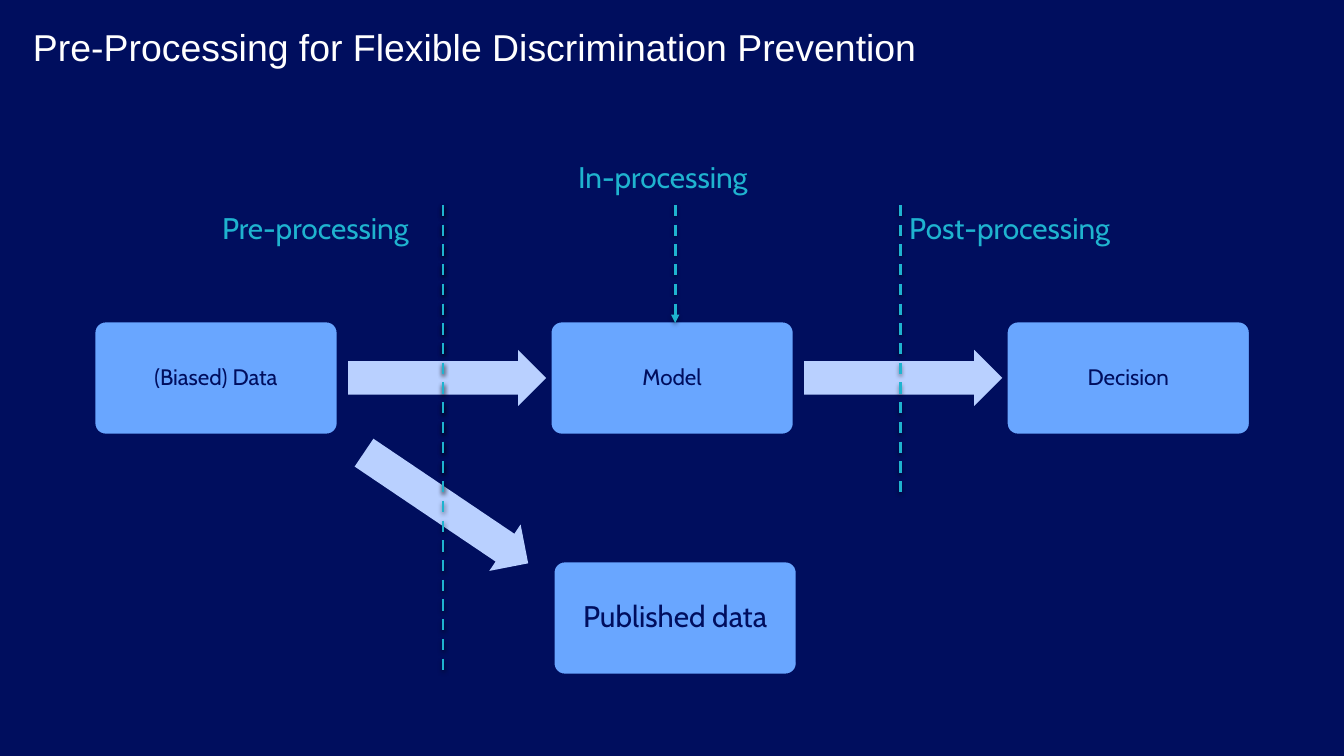
"""Build a slide on where fairness processing fits in a decision pipeline."""
from lxml import etree
from pptx import Presentation, util as u
from pptx.dml.color import RGBColor
from pptx.enum import dml, shapes, text
from pptx.oxml import ns

COLOURS = {"navy": "000E5E", "card": "69A6FF", "arrow": "B9D0FF",
           "teal": "1FB3CF", "white": "FFFFFF", "shadow": "000000"}


def colour(name):
    return RGBColor.from_string(COLOURS[name])


def px(length):
    return u.Emu(round(length * 914400 / 100.8))


def assign(target, values):
    for name, value in values.items():
        setattr(target, name, value)


class Deck:
    """Holds the presentation, its style and the current slide."""

    def __init__(self, width, height):
        self.presentation = Presentation()
        assign(self.presentation, {"slide_width": u.Inches(width),
                                   "slide_height": u.Inches(height)})
        self.slide = self.presentation.slides.add_slide(
            self.presentation.slide_layouts[6])
        background = self.slide.background.fill
        background.solid()
        background.fore_color.rgb = colour("navy")

    def set_text(self, frame, wording, size, ink, font="Cabin", margin=(10, 5), **values):
        across, down = map(px, margin)
        assign(frame, {"margin_left": across, "margin_right": across,
                       "margin_top": down, "margin_bottom": down,
                       "vertical_anchor": text.MSO_ANCHOR.TOP, "word_wrap": True})
        assign(frame, values)
        paragraph = frame.paragraphs[0]
        paragraph.text = wording
        assign(paragraph.font, {"size": u.Pt(size), "name": font})
        paragraph.font.color.rgb = colour(ink)
        return paragraph

    def title(self, wording, *box):
        frame = self.slide.shapes.add_textbox(*map(px, box)).text_frame
        paragraph = self.set_text(frame, wording, 26.7, "white", "Arial", (0, 0))
        paragraph.line_spacing = 0.9

    def label(self, wording, *box):
        frame = self.slide.shapes.add_textbox(*map(px, box)).text_frame
        self.set_text(frame, wording, 21.3, "teal", word_wrap=False,
                      auto_size=text.MSO_AUTO_SIZE.SHAPE_TO_FIT_TEXT)

    def shape(self, kind, fill, adjustments, *box):
        shape = self.slide.shapes.add_shape(kind, *map(px, box))
        shape.shadow.inherit = False
        shape.fill.solid()
        shape.fill.fore_color.rgb = colour(fill)
        shape.line.fill.background()
        for index, value in enumerate(adjustments):
            shape.adjustments[index] = value
        return shape

    def card(self, wording, left, top, size=16):
        shape = self.shape(shapes.MSO_SHAPE.ROUNDED_RECTANGLE, "card", [0.1],
                           left, top, 244, 114)
        shape.line.color.rgb = colour("navy")
        shape.line.width = u.Pt(2)
        paragraph = self.set_text(shape.text_frame, wording, size, "navy",
                                  vertical_anchor=text.MSO_ANCHOR.MIDDLE)
        assign(paragraph, {"alignment": text.PP_ALIGN.CENTER, "line_spacing": 0.9})

    def arrow(self, left, top, rotation=0):
        shape = self.shape(shapes.MSO_SHAPE.RIGHT_ARROW, "arrow", [0.6, 0.5],
                           left, top, 198, 56)
        shape.rotation = rotation

    def dashed_line(self, x, top, bottom, pointed=False):
        connector = self.slide.shapes.add_connector(
            shapes.MSO_CONNECTOR.STRAIGHT, *map(px, (x, top, x, bottom)))
        connector.line.color.rgb = colour("teal")
        assign(connector.line, {"width": u.Pt(2),
                                "dash_style": dml.MSO_LINE.DASH})
        properties = connector.element.spPr
        if pointed:
            etree.SubElement(properties.find(ns.qn("a:ln")),
                             ns.qn("a:tailEnd"), type="triangle")
        effects = etree.SubElement(properties, ns.qn("a:effectLst"))
        shadow = etree.SubElement(
            effects, ns.qn("a:outerShdw"), blurRad=str(int(u.Pt(3.1))),
            dist=str(int(u.Pt(1.6))), dir="5400000", rotWithShape="0")
        tint = etree.SubElement(shadow, ns.qn("a:srgbClr"), val=COLOURS["shadow"])
        etree.SubElement(tint, ns.qn("a:alpha"), val="38000")


def main():
    deck = Deck(13.33, 7.5)
    deck.title("Pre-Processing for Flexible Discrimination Prevention", 33, 29, 886, 56)

    steps = ["(Biased) Data", "Model", "Decision"]
    for index, step in enumerate(steps):
        left = 94 + 456 * index
        deck.card(step, left, 321)
        if index < len(steps) - 1:
            deck.arrow(left + 254, 350)

    deck.label("Pre-processing", 212, 205, 225, 46)
    deck.label("In-processing", 568, 154, 209, 46)
    deck.label("Post-processing", 899, 205, 238, 46)
    deck.dashed_line(675, 205, 323, pointed=True)
    deck.dashed_line(900, 205, 492)

    deck.card("Published data", 553, 561, size=21.3)
    deck.arrow(347, 480, rotation=34)
    for bottom in (672, 492):
        deck.dashed_line(443, 205, bottom)
    deck.presentation.save("out.pptx")


if __name__ == "__main__":
    main()
